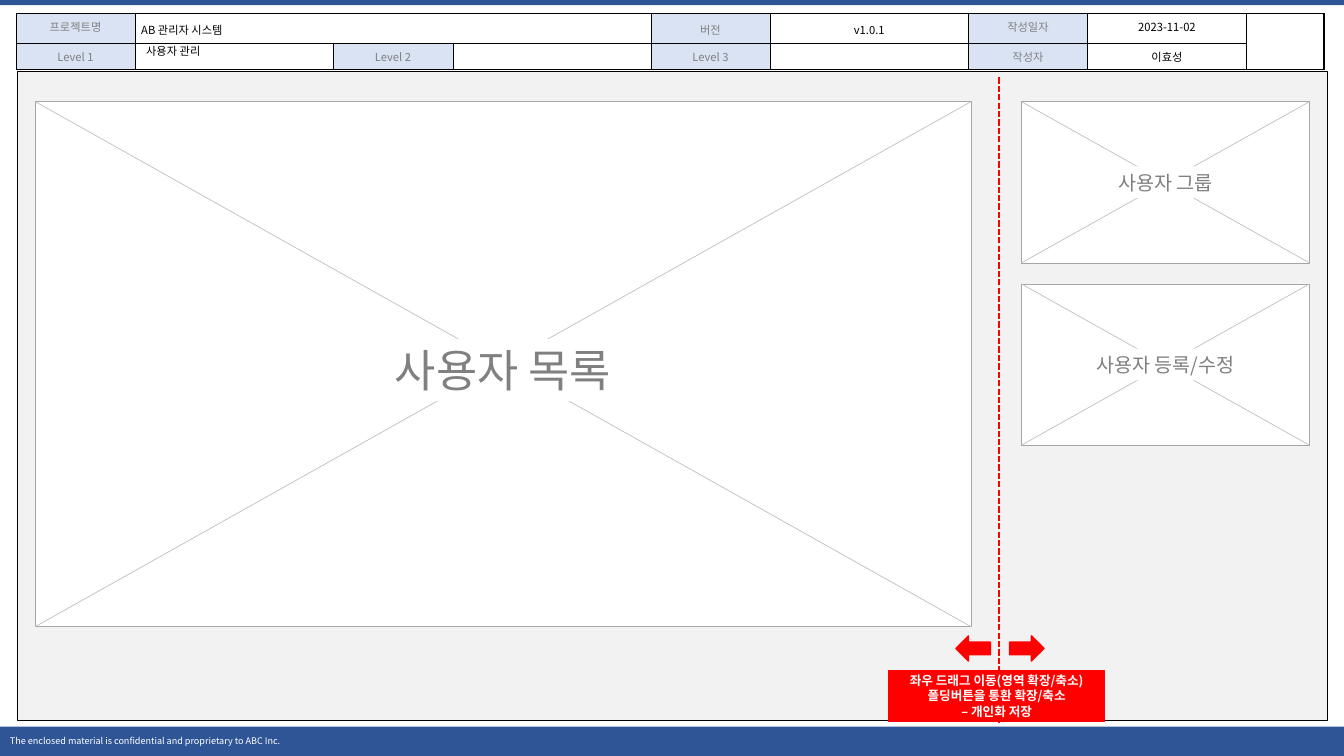
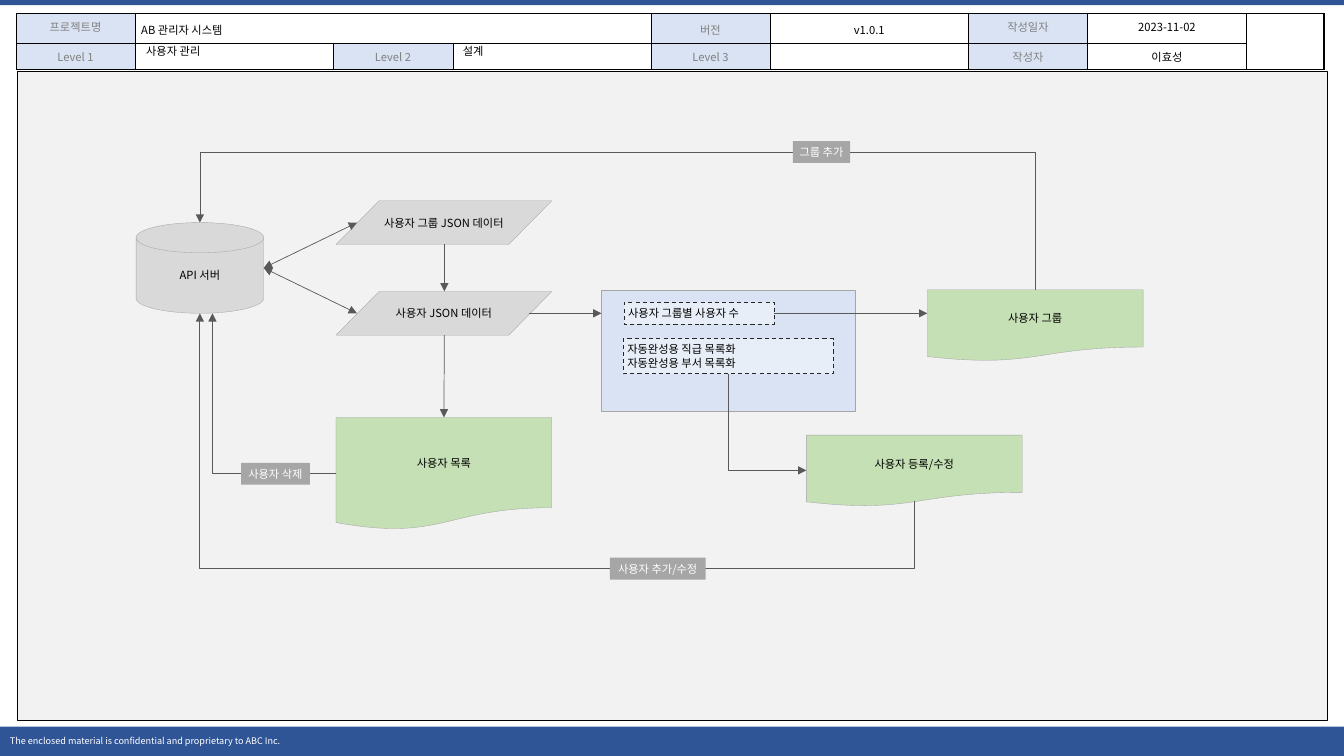
from lxml.etree import SubElement
from pptx import Presentation
from pptx.dml.color import RGBColor
from pptx.enum.dml import MSO_LINE_DASH_STYLE as Dash
from pptx.enum.shapes import MSO_CONNECTOR as Link, MSO_SHAPE as Preset
from pptx.enum.text import MSO_ANCHOR as Anchor, PP_ALIGN as Align
from pptx.oxml.ns import qn
from pptx.util import Inches, Pt

# The slide is a grid of 160 columns and 90 rows, twelve cells to the inch
COLUMNS, ROWS = 160, 90
FONT = "Noto Sans CJK KR"
NAVY, PALE_BLUE, PANEL = "2F5597", "DAE3F3", "F2F2F2"
BLACK, WHITE, RED, GREEN = "000000", "FFFFFF", "FF0000", "C5E0B4"
LABEL_GREY, EDGE_GREY, CROSS_GREY = "808080", "A6A6A6", "BFBFBF"
DATA_GREY, ARROW_GREY, DASH_GREY = "D9D9D9", "595959", "262626"


def cells(count):
    return Inches(count / 12)


def color(value):
    return RGBColor.from_string(value)


class Board:
    """Holds the style and the current page."""

    def __init__(self):
        self.deck = Presentation()
        self.deck.slide_width, self.deck.slide_height = cells(COLUMNS), cells(ROWS)
        self.layout = self.deck.slide_layouts[1]
        for holder in list(self.layout.placeholders):
            if holder.placeholder_format.idx >= 10:
                holder.element.getparent().remove(holder.element)
        self.page = None

    def new_page(self, level_1, level_2=None):
        self.page = self.deck.slides.add_slide(self.layout)
        if len(self.deck.slides) == 1:
            self.frame()
        title, body = self.page.placeholders
        self.heading(title, 16.2, level_1)
        if level_2:
            self.heading(body, 53.9, level_2)
        else:
            body.element.getparent().remove(body.element)

    # Text
    def set_text(self, frame, text, size=8, ink=BLACK, align=Align.CENTER,
                 bold=False, spacing=None):
        frame.text = text
        for para in frame.paragraphs:
            para.alignment = align
            if spacing:
                para.line_spacing = spacing
            for span in para.runs:
                span.font.size, span.font.name = Pt(size), FONT
                span.font.bold = bold
                span.font.color.rgb = color(ink)
                SubElement(span.font._element, qn("a:ea")).set("typeface", FONT)

    def heading(self, holder, left, text):
        self.place(holder, left, 4.7, 23.6, 2.9)
        holder.text_frame.vertical_anchor = Anchor.MIDDLE
        self.set_text(holder.text_frame, text, align=Align.LEFT, spacing=0.9)
        properties = holder.text_frame.paragraphs[0]._p.get_or_add_pPr()
        properties.set("marL", "0")
        properties.set("indent", "0")
        SubElement(properties, qn("a:buNone"))

    # Shapes
    def place(self, item, left, top, width, height):
        item.left, item.top = cells(left), cells(top)
        item.width, item.height = cells(width), cells(height)

    def shape(self, at, fill, text=None, preset=Preset.RECTANGLE, edge=None,
              weight=0.25, dash=None, alpha=None, inset=0, wrap=True,
              home=None, **style):
        box = (home or self.page).shapes.add_shape(preset, *map(cells, at))
        box.shadow.inherit = False
        box.fill.solid()
        box.fill.fore_color.rgb = color(fill)
        if alpha:
            tint = box.element.spPr.find(qn("a:solidFill"))[0]
            SubElement(tint, qn("a:alpha")).set("val", str(alpha * 1000))
        if edge:
            box.line.color.rgb = color(edge)
            box.line.width = Pt(weight)
            if dash:
                box.line.dash_style = dash
        else:
            box.line.fill.background()
        if text:
            frame = box.text_frame
            frame.word_wrap = wrap
            frame.vertical_anchor = Anchor.MIDDLE
            frame.margin_left = frame.margin_right = Inches(inset)
            frame.margin_top = frame.margin_bottom = Inches(min(inset, 0.04))
            self.set_text(frame, text, **style)
        return box

    def tag(self, at, text):
        self.shape(at, EDGE_GREY, text, ink=WHITE, inset=0.04, wrap=False)

    def wireframe(self, at, text, label, size, drop=0):
        left, top, width, height = at
        group = self.page.shapes.add_group_shape()
        self.shape(at, WHITE, edge=EDGE_GREY, home=group)
        for first, last in ((top, top + height), (top + height, top)):
            self.line((left, first), (left + width, last), CROSS_GREY, home=group)
        wide, high = label
        middle = (left + (width - wide) / 2, top + (height - high) / 2 + drop)
        self.shape((*middle, wide, high), WHITE, text, size=size, ink=LABEL_GREY,
                   inset=0.04, wrap=False, home=group)

    # Lines and arrows
    def line(self, start, end, ink=ARROW_GREY, weight=0.5, dash=None,
             heads=(), kind=Link.STRAIGHT, home=None):
        link = (home or self.page).shapes.add_connector(
            kind, *map(cells, (*start, *end)))
        link.line.color.rgb = color(ink)
        link.line.width = Pt(weight)
        if dash:
            link.line.dash_style = dash
        for head in heads:
            SubElement(link.line._get_or_add_ln(), qn(head)).set("type", "triangle")
        SubElement(link.element.spPr, qn("a:effectLst"))
        return link

    def arrow(self, start, end, both=False, kind=Link.STRAIGHT):
        heads = ("a:headEnd", "a:tailEnd") if both else ("a:tailEnd",)
        return self.line(start, end, heads=heads, kind=kind)

    def elbow(self, start, end, upright=True, via_row=None):
        """One bend, or two when the row of the middle leg is given."""
        link = self.arrow(start, end, kind=Link.ELBOW)
        across, down = end[0] - start[0], end[1] - start[1]
        geometry = link.element.spPr.find(qn("a:prstGeom"))
        if via_row is None:
            geometry.set("prst", "bentConnector2")
        else:
            guide = SubElement(geometry.get_or_add_avLst(), qn("a:gd"))
            guide.set("name", "adj1")
            share = round((via_row - start[1]) / down * 100000)
            guide.set("fmla", f"val {share}")
        if upright:  # a quarter turn makes the first leg vertical
            wide, high = abs(down), abs(across)
            self.place(link, (start[0] + end[0] - wide) / 2,
                       (start[1] + end[1] - high) / 2, wide, high)
            turn = link.element.spPr.find(qn("a:xfrm"))
            turn.set("rot", "5400000")
            turn.set("flipH", str(int(down < 0)))
            turn.set("flipV", str(int(across > 0)))

    # Header table
    def border(self, cell, side, weight):
        line = SubElement(cell._tc.get_or_add_tcPr(), qn("a:ln" + side))
        line.set("w", str(Pt(weight)))
        SubElement(SubElement(line, qn("a:solidFill")), qn("a:srgbClr")).set("val", BLACK)

    def header(self, rows, widths, heights):
        last_row, last_column = len(rows) - 1, len(widths) - 1
        frame = self.page.shapes.add_table(
            len(rows), len(widths),
            *map(cells, (1.9, 1.6, sum(widths), sum(heights))))
        table = frame.table
        table.first_row = table.horz_banding = False
        for column, width in zip(table.columns, widths):
            column.width = cells(width)
        for row, height in zip(table.rows, heights):
            row.height = cells(height)
        table.cell(0, 1).merge(table.cell(0, 3))
        table.cell(0, last_column).merge(table.cell(last_row, last_column))
        for r, texts in enumerate(rows):
            for c, text in enumerate(texts):
                cell = table.cell(r, c)
                is_label = bool(text) and c % 2 == 0
                cell.margin_left = cell.margin_right = Inches(0.06)
                cell.margin_top = cell.margin_bottom = Inches(0.05)
                self.set_text(cell.text_frame, text,
                              ink=LABEL_GREY if is_label else BLACK,
                              align=Align.LEFT if c == 1 else Align.CENTER,
                              spacing=1.2 if r == 0 and c in (1, 4, 5) else None)
                if not text:
                    ending = cell.text_frame.paragraphs[0]._p.get_or_add_endParaRPr()
                    ending.set("sz", "800")
                for side in "LRTB":
                    thick = (side == "R" and c == last_column
                             or side == "B" and r == last_row)
                    self.border(cell, side, 1.5 if thick else 0.25)
                if is_label:
                    cell.fill.solid()
                    cell.fill.fore_color.rgb = color(PALE_BLUE)
                else:
                    cell.fill.background()
        return frame

    # Bands, header and panel live on the layout that all pages use
    def frame(self):
        label, value = 14.2, 23.6
        parts = [
            self.shape((0, 0, COLUMNS, 0.6), NAVY),
            self.shape((0, 86.5, COLUMNS, 3.5), NAVY,
                       "The enclosed material is confidential and proprietary to ABC Inc.",
                       size=6.5, ink=WHITE, align=Align.LEFT, inset=0.1),
            self.header(
                [["프로젝트명", "AB 관리자 시스템", "", "", "버전", "v1.0.1",
                  "작성일자", "2023-11-02", ""],
                 ["Level 1", "", "Level 2", "", "Level 3", "", "작성자", "이효성", ""]],
                [label, value] * 3 + [label, 18.9, 9.2], [3.5, 3.1]),
            self.shape((2.1, 8.5, 155.9, 77.3), PANEL, edge=BLACK),
        ]
        for part in parts:
            self.layout.shapes.element.append(part.element)


def screen_layout(board):
    board.new_page("사용자 관리")
    # Draggable divider
    board.line((118.9, 9.2), (118.9, 86.2), RED, 1.5, Dash.SQUARE_DOT)
    for left, preset in ((120.2, Preset.RIGHT_ARROW), (113.8, Preset.LEFT_ARROW)):
        board.shape((left, 75.7, 4.1, 3), RED, preset=preset, edge=RED, weight=1)
    board.shape((105.8, 79.8, 25.7, 6.1), RED,
                "좌우 드래그 이동(영역 확장/축소)\n폴딩버튼을 통환 확장/축소\n– 개인화 저장",
                edge=RED, weight=1, size=9, ink=WHITE, bold=True, inset=0.1)
    # Screen areas
    board.wireframe((4.2, 12.1, 111.4, 62.5), "사용자 목록", (29.8, 7.4), 32, drop=0.7)
    for top, text, width in ((12.1, "사용자 그룹", 13.6), (33.8, "사용자 등록/수정", 19.2)):
        board.wireframe((121.6, top, 34.3, 19.2), text, (width, 3.8), 14)


def data_flow(board):
    board.new_page("사용자 관리", "설계")
    wide = 25.7
    # Server and data
    board.shape((16.2, 26.5, 15.2, 10.8), DATA_GREY, "API 서버",
                Preset.FLOWCHART_MAGNETIC_DISK, EDGE_GREY)
    for top, text in ((23.9, "사용자 그룹 JSON 데이터"), (34.7, "사용자 JSON 데이터")):
        board.shape((40, top, wide, 5.2), DATA_GREY, text,
                    Preset.FLOWCHART_DATA, EDGE_GREY)
        board.arrow((42.5, top + 2.6), (31.4, 31.9), both=True)
    # Screens
    user_list, _, _ = [
        board.shape((left, top, wide, height), GREEN, text,
                    Preset.FLOWCHART_DOCUMENT, EDGE_GREY)
        for left, top, height, text in (
            (40, 49.7, 13.4, "사용자 목록"),
            (110.4, 34.5, 8.5, "사용자 그룹"),
            (96, 51.8, 8.5, "사용자 등록/수정"))]
    # Derived lists
    board.shape((71.6, 34.6, 30.2, 14.3), PALE_BLUE,
                preset=Preset.FLOWCHART_PROCESS, edge=EDGE_GREY)
    group_count, _ = [
        board.shape(at, WHITE, text, edge=DASH_GREY, weight=0.75, dash=Dash.DASH,
                    alpha=40, inset=0.04, align=Align.LEFT)
        for at, text in (
            ((74.3, 36, 17.9, 2.6), "사용자 그룹별 사용자 수"),
            ((74.2, 40.3, 25, 4.2), "자동완성용 직급 목록화\n자동완성용 부서 목록화"))]
    # Straight flows
    board.arrow((52.9, 29.1), (52.9, 34.7))
    board.arrow((52.9, 39.9), (52.9, 49.7)).end_connect(user_list, 0)
    board.arrow((63, 37.3), (71.6, 37.3))
    board.arrow((92.2, 37.3), (110.4, 37.3)).begin_connect(group_count, 3)
    # Bent flows
    board.elbow((86.7, 44.5), (96, 56))
    board.elbow((123.3, 34.5), (23.8, 26.5), via_row=18.1)
    board.elbow((108.8, 59.7), (23.8, 37.3), via_row=67.7)
    board.elbow((40, 56.4), (25.3, 37.3), upright=False)
    board.tag((94.4, 16.8, 6.8, 2.6), "그룹 추가")
    board.tag((72.6, 66.4, 11.4, 2.6), "사용자 추가/수정")
    board.tag((28.7, 55.1, 8.2, 2.6), "사용자 삭제")


def main():
    board = Board()
    screen_layout(board)
    data_flow(board)
    board.deck.save("out.pptx")


if __name__ == "__main__":
    main()
